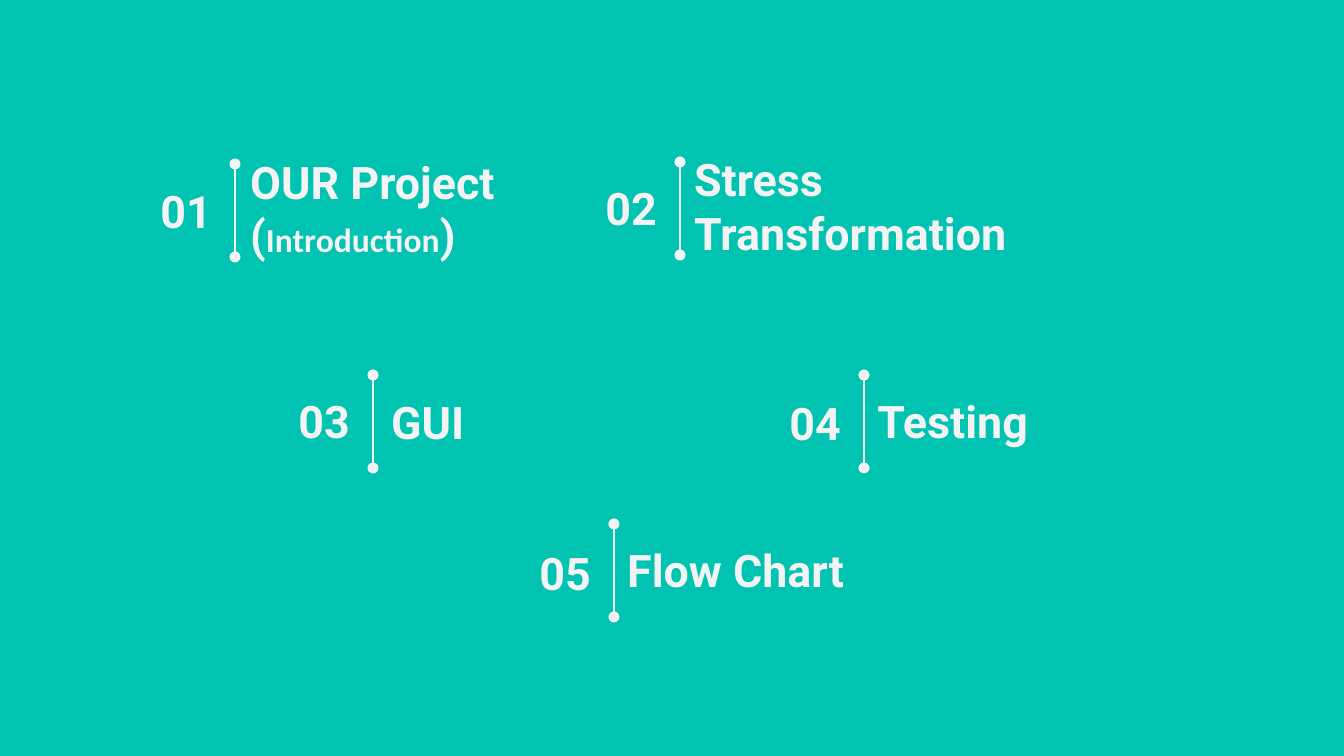
from pptx import Presentation
from pptx.dml.color import RGBColor
from pptx.enum.shapes import MSO_CONNECTOR
from pptx.enum.text import MSO_ANCHOR, PP_ALIGN
from pptx.oxml.ns import qn
from pptx.util import Inches, Pt
from lxml import etree

STRAIGHT = MSO_CONNECTOR.STRAIGHT
MIDDLE = MSO_ANCHOR.MIDDLE
LEFT, RIGHT = PP_ALIGN.LEFT, PP_ALIGN.RIGHT

THEME = {
    "background": RGBColor(0x00, 0xC3, 0xB1),
    "ink": RGBColor(0xF3, 0xF3, 0xF3),
    "heading": ("Roboto", Pt(24)),
    "detail": ("Calibri", Pt(18)),
    "rule": Pt(1.5),
}
PX = 914400 / 134.4
TEXT_H, NUMBER_W, RULE_H = 62, 89, 93


def px(n):
    return round(n * PX)


def add_label(s, x, y, w, parts, align):
    """Add a text box whose parts are (text, style) pairs."""
    sp = s.shapes.add_textbox(px(x), px(y), px(w), px(TEXT_H))
    tf = sp.text_frame
    tf.word_wrap = True
    tf.vertical_anchor = MIDDLE
    tf.margin_left = tf.margin_right = Inches(0.1)
    tf.margin_top = tf.margin_bottom = Inches(0.1)
    p = tf.paragraphs[0]
    p.alignment = align
    for text, style in parts:
        first = len(p.runs)
        for i, line in enumerate(text.split("\n")):
            if i:
                p.add_line_break()
            p.add_run().text = line
        for r in p.runs[first:]:
            r.font.name, r.font.size = THEME[style]
            r.font.bold = True
            r.font.color.rgb = THEME["ink"]


prs = Presentation()
prs.slide_width, prs.slide_height = px(1344), px(756)
s = prs.slides.add_slide(prs.slide_layouts[6])
s.background.fill.solid()
s.background.fill.fore_color.rgb = THEME["background"]

# Agenda: title parts, title (x, y, width), number (x, y), rule (x, y)
introduction = [("OUR Project\n(", "heading"), ("Introduction", "detail"), (")", "heading")]
agenda = [
    (introduction, (237, 177, 344), (136, 180), (235, 164)),
    ([("Stress Transformation", "heading")], (681, 175, 470), (581, 177), (680, 162)),
    ([("GUI", "heading")], (378, 391, 344), (274, 390), (373, 375)),
    ([("Testing", "heading")], (864, 390, 344), (765, 392), (864, 375)),
    ([("Flow Chart", "heading")], (614, 539, 344), (515, 542), (614, 524)),
]

for n, (title, title_at, number_at, (x, y)) in enumerate(agenda, start=1):
    add_label(s, *title_at, title, LEFT)
    add_label(s, *number_at, NUMBER_W, [(f"{n:02}", "heading")], RIGHT)

    # Divider with a dot at each end
    rule = s.shapes.add_connector(STRAIGHT, px(x), px(y), px(x), px(y + RULE_H))
    rule.line.color.rgb = THEME["ink"]
    rule.line.width = THEME["rule"]
    ln = rule.line._get_or_add_ln()
    for end in ("a:headEnd", "a:tailEnd"):
        etree.SubElement(ln, qn(end), type="oval")
    etree.SubElement(rule._element.spPr, qn("a:effectLst"))

prs.save("out.pptx")
